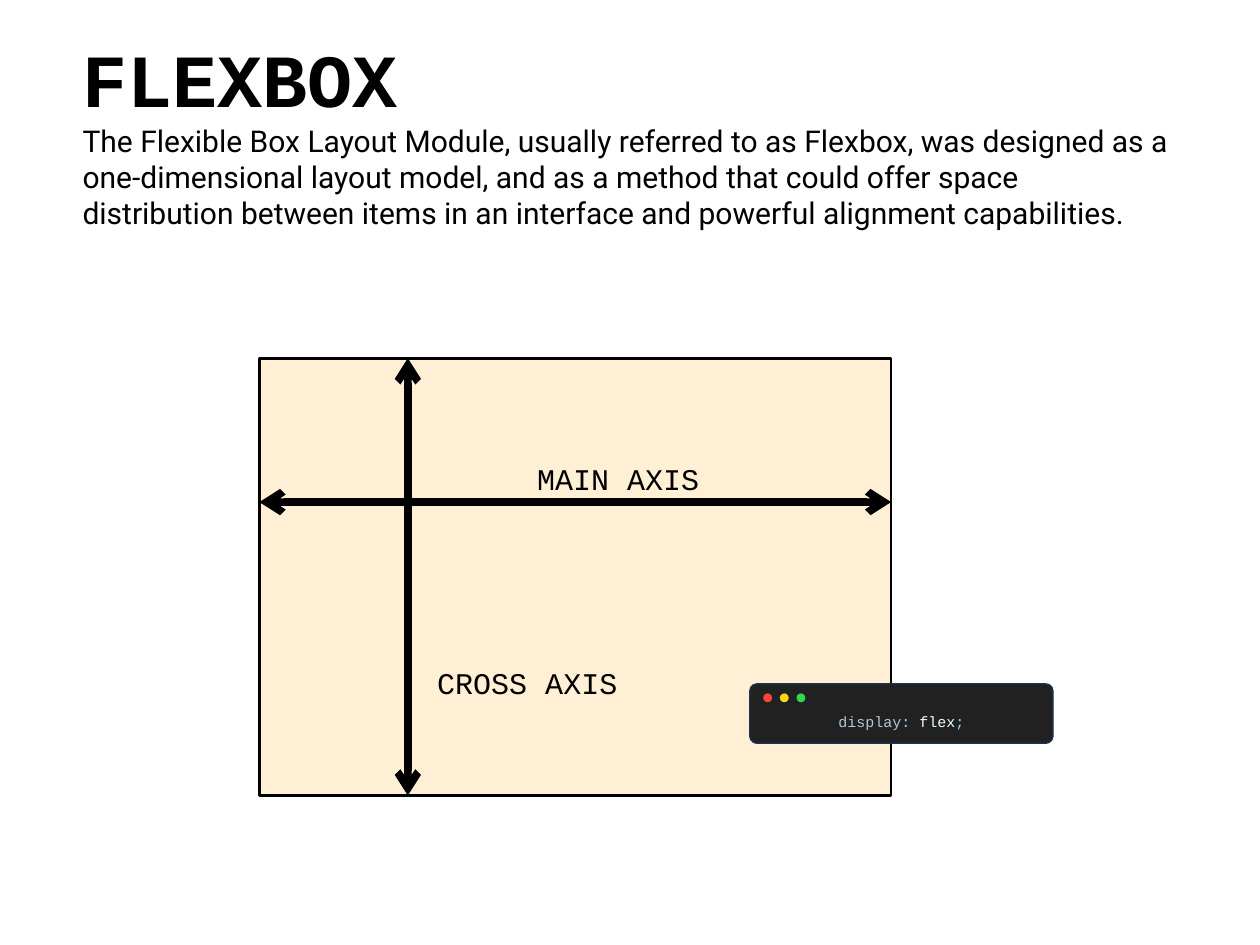
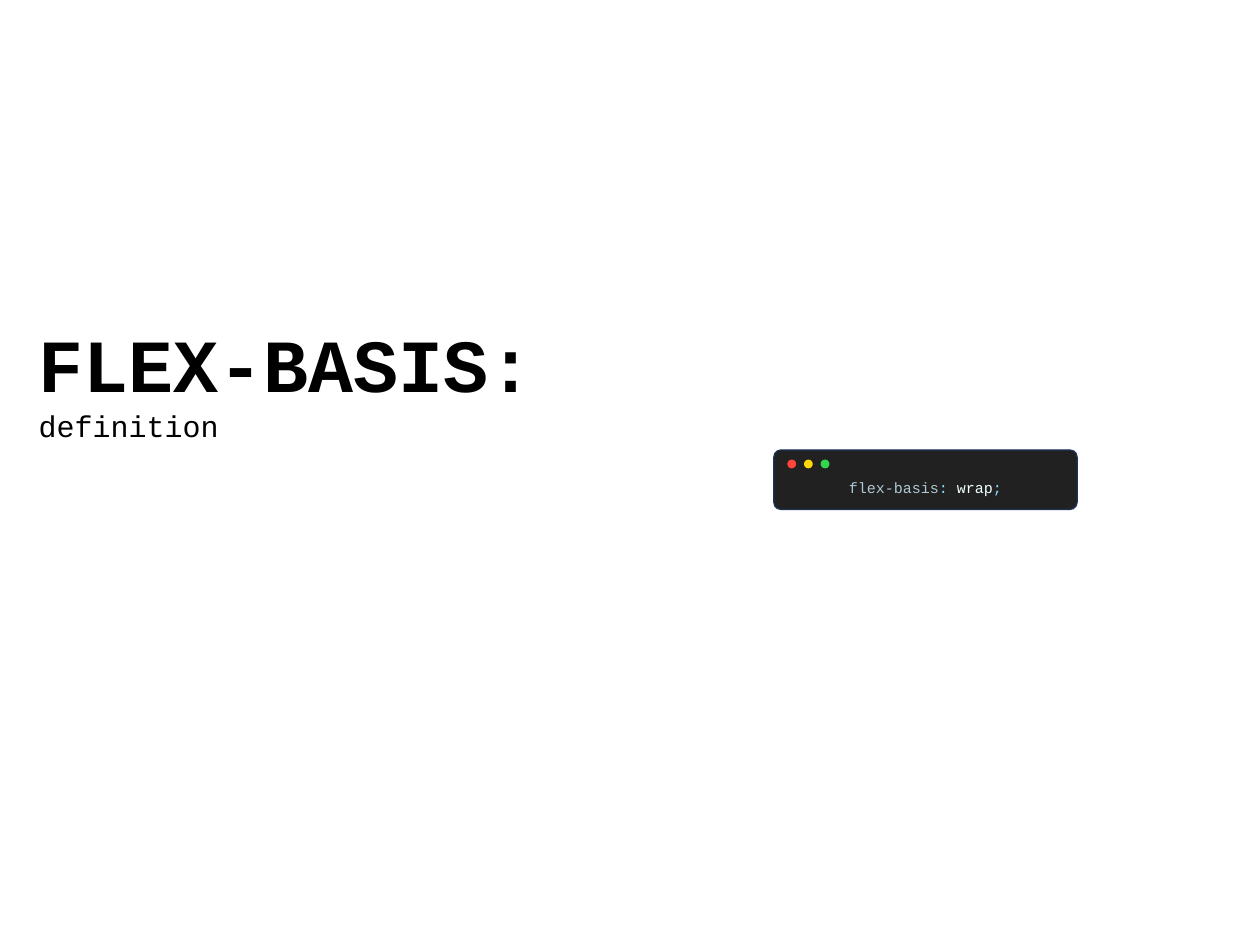
from lxml.etree import SubElement
from pptx import Presentation
from pptx.dml.color import RGBColor
from pptx.enum.shapes import MSO_CONNECTOR as Connector, MSO_SHAPE as Shape
from pptx.enum.text import MSO_AUTO_SIZE as AutoSize, PP_ALIGN as Align
from pptx.oxml.ns import qn
from pptx.util import Cm, Pt

COLORS = {
    "ink": "000000", "container": "FFEFD5",
    "window": "212121", "window_edge": "1E3256",
    "red": "FF453A", "yellow": "FFD60A", "green": "32D74B",
    "property": "AFC8D3", "punctuation": "89DEFF", "value": "EFFFFF",
}
MONO, SANS = "Courier New", "Roboto"
TITLE_SIZE, BODY_SIZE, CODE_SIZE = 60, 24, 12


def rgb(name):
    return RGBColor.from_string(COLORS[name])


def style(font, name, size, bold=False):
    font.name, font.size, font.bold = name, Pt(size), bold
    font.color.rgb = rgb("ink")


def add_text_frame(shapes, x, y, w, h):
    tf = shapes.add_textbox(Cm(x), Cm(y), Cm(w), Cm(h)).text_frame
    tf.word_wrap = True
    tf.auto_size = AutoSize.SHAPE_TO_FIT_TEXT
    return tf


def add_heading(slide, title, body, x, y, w, h, body_font=MONO):
    """Large title with a line of body text under it."""
    tf = add_text_frame(slide.shapes, x, y, w, h)
    p = tf.paragraphs[0]
    p.text = title
    style(p.font, MONO, TITLE_SIZE, bold=True)
    p = tf.add_paragraph()
    p.text = body
    style(p.font, body_font, BODY_SIZE)


def add_label(slide, text, x, y, w):
    p = add_text_frame(slide.shapes, x, y, w, 1.27).paragraphs[0]
    p.text = text
    style(p.font, MONO, BODY_SIZE)


def add_filled(shapes, kind, x, y, w, h, fill, edge=None, edge_width=1):
    sp = shapes.add_shape(kind, Cm(x), Cm(y), Cm(w), Cm(h))
    sp.shadow.inherit = False
    sp.fill.solid()
    sp.fill.fore_color.rgb = rgb(fill)
    if edge:
        sp.line.color.rgb = rgb(edge)
        sp.line.width = Pt(edge_width)
    else:
        sp.line.fill.background()
    return sp


def add_axis(slide, x1, y1, x2, y2):
    """Thick line with an arrowhead at both ends."""
    line = slide.shapes.add_connector(
        Connector.STRAIGHT, Cm(x1), Cm(y1), Cm(x2), Cm(y2))
    line.line.color.rgb = rgb("ink")
    line.line.width = Pt(6)
    ln = line.line._get_or_add_ln()
    for end in ("a:headEnd", "a:tailEnd"):
        SubElement(ln, qn(end), type="arrow")
    SubElement(line._element.spPr, qn("a:effectLst"))


def add_code_window(slide, prop, value, x, y):
    """Dark window with three buttons and one CSS declaration."""
    w, h, dot, pitch = 8.56, 1.68, 0.25, 0.47
    shapes = slide.shapes.add_group_shape().shapes
    window = add_filled(shapes, Shape.ROUNDED_RECTANGLE, x, y, w, h,
                        "window", "window_edge")
    window.adjustments[0] = 0.12
    for i, color in enumerate(("red", "yellow", "green")):
        add_filled(shapes, Shape.OVAL, x + 0.38 + i * pitch, y + 0.27,
                   dot, dot, color)
    p = add_text_frame(shapes, x, y + 0.69, w, 0.76).paragraphs[0]
    p.alignment = Align.CENTER
    style(p.font, MONO, CODE_SIZE)
    for text, color in ((prop, "property"), (": ", "punctuation"),
                        (value, "value"), (";", "punctuation")):
        r = p.add_run()
        r.text = text
        r.font.color.rgb = rgb(color)


def build_flexbox(slide):
    add_heading(
        slide, "FLEXBOX",
        "The Flexible Box Layout Module, usually referred to as Flexbox, was "
        "designed as a one-dimensional layout model, and as a method that "
        "could offer space distribution between items in an interface and "
        "powerful alignment capabilities.",
        2.08, 0.79, 31.17, 6.93, body_font=SANS)

    # Flex container with its two axes
    left, top, width, height = 7.32, 10.11, 17.83, 12.34
    right, bottom = left + width, top + height
    main_y, cross_x = 14.17, 11.51
    add_filled(slide.shapes, Shape.RECTANGLE, left, top, width, height,
               "container", "ink", 2.25)
    add_axis(slide, left, main_y, right, main_y)
    add_axis(slide, cross_x, bottom, cross_x, top)
    add_label(slide, "MAIN AXIS", 14.91, 12.88, 5.28)
    add_label(slide, "CROSS AXIS", 12.09, 18.64, 5.94)

    add_code_window(slide, "display", "flex", 21.16, 19.3)


def build_flex_basis(slide):
    add_heading(slide, "FLEX-BASIS:", "definition", 0.84, 8.84, 20.37, 3.84)
    add_code_window(slide, "flex-basis", "wrap", 21.84, 12.7)


def main():
    prs = Presentation()
    prs.slide_width, prs.slide_height = Cm(35.56), Cm(26.67)
    blank = prs.slide_layouts[6]
    for build in (build_flexbox, build_flex_basis):
        build(prs.slides.add_slide(blank))
    prs.save("out.pptx")


if __name__ == "__main__":
    main()
